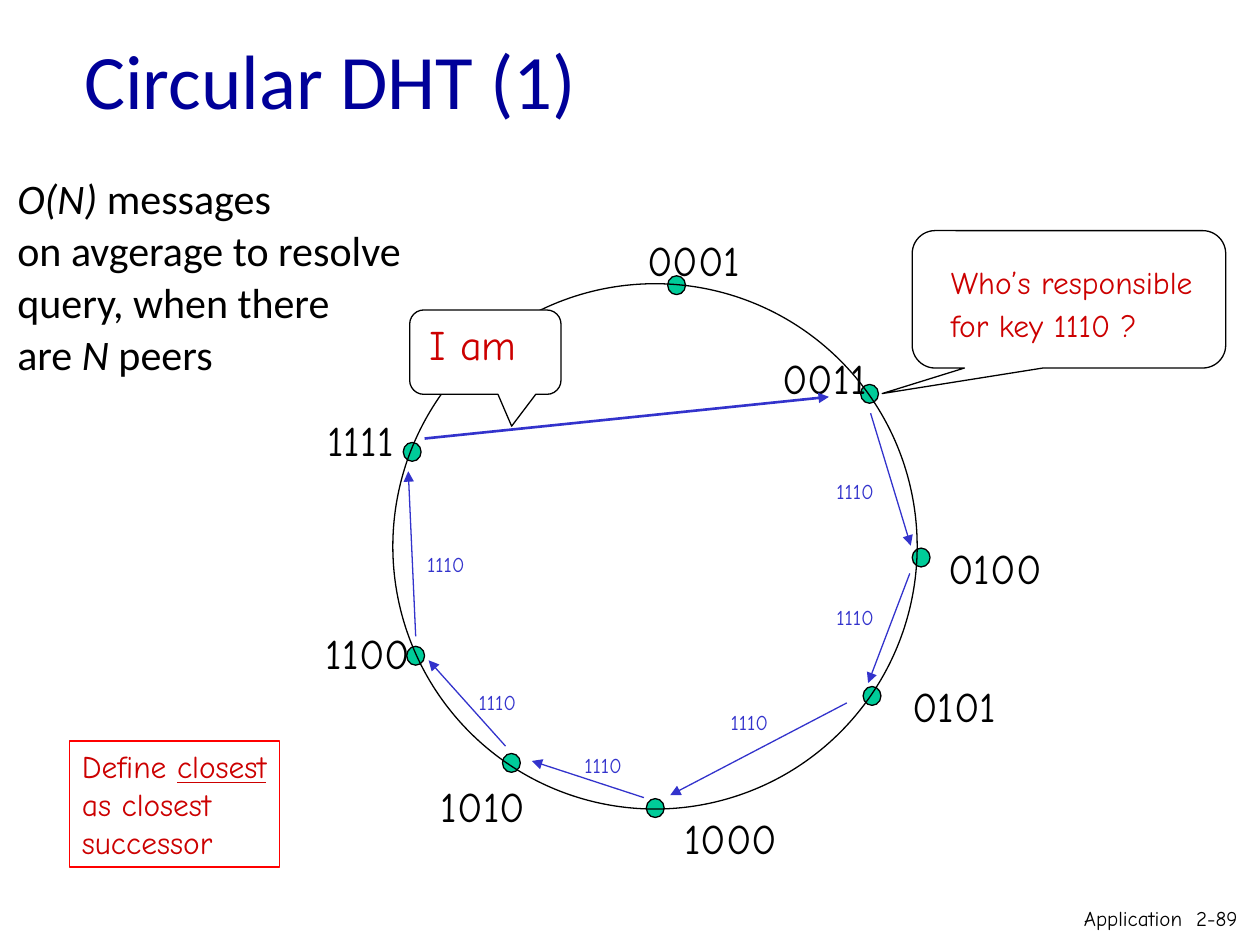
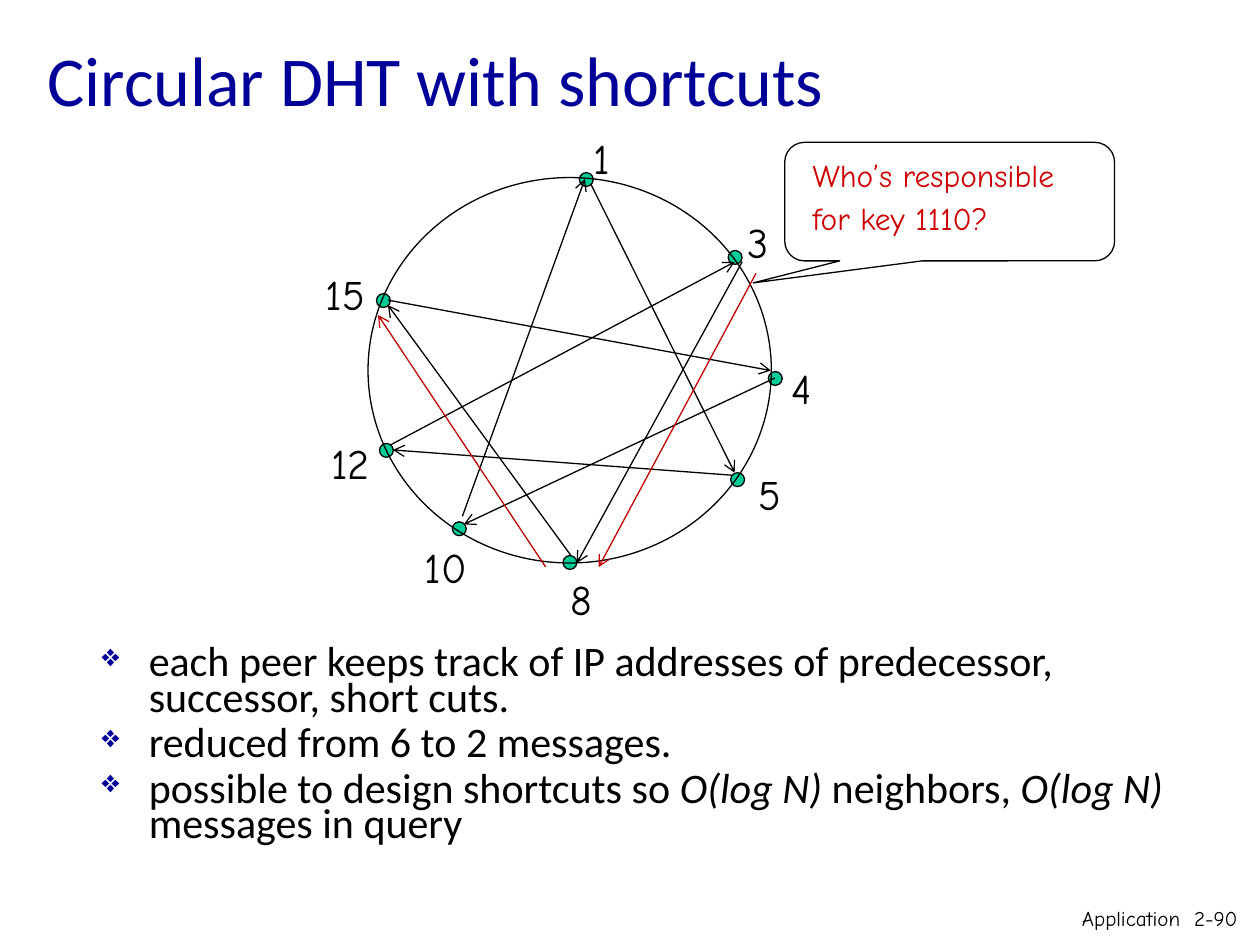
from lxml.etree import SubElement
from pptx import Presentation
from pptx.dml.color import RGBColor
from pptx.enum.shapes import MSO_CONNECTOR, MSO_SHAPE
from pptx.enum.text import MSO_ANCHOR, PP_ALIGN
from pptx.oxml.ns import qn
from pptx.util import Cm, Pt

COLORS = {
    "title": "000099",
    "text": "000000",
    "peer": "00CC99",
    "query": "3333CC",
    "speech": "CC0000",
    "border": "FF0000",
    "route": "C00000",
    "paper": "FFFFFF",
}
BODY_FONT, HAND_FONT = "Calibri", "Comic Neue"
FOOTER_BOX = (21.16, 18.14, 4.04, 0.79)
DIGIT_WIDTHS = {"0": 0.52, "1": 0.35}
OTHER_DIGIT_WIDTH = 0.46
SIDE_INSETS = 0.6

BASIC_TITLE = ("Circular DHT (1)", (1.45, 0, 21.59, 3.18), 44)
BASIC_RING = (7.92, 5.72, 10.57, 10.59)
BASIC_PEER_SIZE = (0.36, 0.38)
BASIC_PEERS = [
    ("0001", (13.46, 5.56), (12.8, 4.6)),
    ("0011", (17.35, 7.75), (15.52, 6.99)),
    ("0100", (18.39, 11.05), (18.87, 10.82)),
    ("0101", (17.4, 13.84), (18.14, 13.59)),
    ("1000", (13.03, 16.1), (13.54, 16.26)),
    ("1010", (10.13, 15.19), (8.64, 15.6)),
    ("1100", (8.2, 13.03), (6.32, 12.52)),
    ("1111", (8.13, 8.92), (6.35, 8.23)),
]
QUERY_KEY = "1110"
QUERY_HOPS = [
    ((17.55, 8.33), (18.36, 11), (16.61, 9.53)),
    ((18.34, 11.56), (17.5, 13.77), (16.61, 12.07)),
    ((17.07, 14.17), (13.51, 16.03), (14.48, 14.17)),
    ((12.98, 16.08), (10.72, 15.34), (11.53, 15.04)),
    ((10.19, 15.04), (8.64, 13.31), (9.4, 13.77)),
    ((8.38, 12.83), (8.23, 9.5), (8.36, 11)),
]
REPLY = ((8.56, 8.84), (16.71, 8))
COST = ["*O(N) *messages", "on avgerage to resolve", "query, when there", "are *N* peers"]
CLOSEST = ["Define *closest*", "as closest", "successor"]

SHORTCUT_TITLE = ("Circular DHT with shortcuts", (0.71, 0, 22.86, 3.18), 40)
SHORTCUT_RING = (7.42, 3.58, 8.13, 7.77)
SHORTCUT_PEER_SIZE = (0.28, 0.28)
SHORTCUT_PEERS = [
    ("1", (11.68, 3.48), (11.71, 2.54)),
    ("3", (14.68, 5.05), (14.81, 4.24)),
    ("4", (15.49, 7.49), (15.7, 7.19)),
    ("5", (14.73, 9.53), (15.04, 9.32)),
    ("8", (11.35, 11.2), (11.25, 11.43)),
    ("10", (9.12, 10.52), (8.31, 10.8)),
    ("12", (7.65, 8.94), (6.43, 8.69)),
    ("15", (7.59, 5.92), (6.32, 5.28)),
]
SHORTCUTS = [
    ((15.62, 7.62), (9.35, 10.57)),
    ((14.76, 9.58), (7.92, 9.07)),
    ((11.51, 11.2), (7.82, 6.15)),
    ((9.32, 10.41), (11.79, 3.61)),
    ((7.87, 8.97), (14.81, 5.28)),
    ((7.82, 6.05), (15.54, 7.47)),
    ((11.91, 3.71), (14.81, 9.53)),
    ((14.96, 5.28), (11.63, 11.35)),
]
ROUTE = [((15.24, 5.51), (12.07, 11.43)), ((11, 11.43), (7.62, 6.35))]
FACTS = [
    "each peer keeps track of IP addresses of predecessor, successor, short cuts.",
    "reduced from 6 to 2 messages.",
    "possible to design shortcuts so *O(log N) *neighbors, *O(log N) *messages in query",
]


def rgb(name):
    return RGBColor.from_string(COLORS[name])


def box(bounds):
    return [Cm(length) for length in bounds]


def add_outline(slide, kind, bounds, fill=None, line="text"):
    outline = slide.shapes.add_shape(kind, *box(bounds))
    outline.shadow.inherit = False
    if fill:
        outline.fill.solid()
        outline.fill.fore_color.rgb = rgb(fill)
    else:
        outline.fill.background()
    outline.line.color.rgb = rgb(line)
    outline.line.width = Pt(0.75)
    return outline


def add_bullet(paragraph):
    properties = paragraph._p.get_or_add_pPr()
    properties.set("marL", str(Cm(0.95)))
    properties.set("indent", str(-Cm(0.95)))
    color = SubElement(properties, qn("a:buClr"))
    SubElement(color, qn("a:srgbClr"), val=COLORS["title"])
    SubElement(properties, qn("a:buSzPct"), val="75000")
    SubElement(properties, qn("a:buChar"), char="❖")


def write(holder, lines, size, color="text", font=HAND_FONT, spacing=None, gap=0,
          emphasis="italic", bullets=False, wrap=True,
          align=PP_ALIGN.LEFT, anchor=MSO_ANCHOR.TOP):
    frame = holder.text_frame
    frame.word_wrap = wrap
    frame.vertical_anchor = anchor
    for index, line in enumerate(lines):
        paragraph = frame.add_paragraph() if index else frame.paragraphs[0]
        if bullets:
            add_bullet(paragraph)
        paragraph.alignment = align
        if spacing:
            paragraph.line_spacing = spacing
        if index and gap:
            paragraph.space_before = Pt(gap)
        for position, piece in enumerate(line.split("*")):
            if not piece:
                continue
            run = paragraph.add_run()
            run.text = piece
            run.font.name = font
            run.font.size = Pt(size)
            run.font.color.rgb = rgb(color)
            if position % 2:
                setattr(run.font, emphasis, True)


def add_text(slide, bounds, lines, size, **style):
    write(slide.shapes.add_textbox(*box(bounds)), lines, size, **style)


def add_arrow(slide, start, end, color, head, width=0.75):
    arrow = slide.shapes.add_connector(MSO_CONNECTOR.STRAIGHT, *box(start + end))
    arrow.line.color.rgb = rgb(color)
    arrow.line.width = Pt(width)
    SubElement(arrow.line._get_or_add_ln(), qn("a:tailEnd"), type=head)
    SubElement(arrow._element.spPr, qn("a:effectLst"))


def add_callout(slide, bounds, tip, text_bounds, lines, size, fill=None, **style):
    bubble = add_outline(slide, MSO_SHAPE.ROUNDED_RECTANGULAR_CALLOUT, bounds, fill)
    for index, value in enumerate(tip + (0.167,)):
        bubble.adjustments[index] = value
    add_text(slide, text_bounds, lines, size, color="speech", **style)


def add_question(slide, bounds, text_bounds, lines):
    add_callout(slide, bounds, (-0.596, 0.686), text_bounds, lines, 18,
                spacing=Pt(20), gap=4.5)


def add_ring(slide, ring, peers, peer_size):
    for _, corner, _ in peers:
        add_outline(slide, MSO_SHAPE.OVAL, corner + peer_size, "peer")
    add_outline(slide, MSO_SHAPE.OVAL, ring)
    for peer, _, corner in peers:
        width = SIDE_INSETS + sum(DIGIT_WIDTHS.get(d, OTHER_DIGIT_WIDTH) for d in peer)
        add_text(slide, corner + (width, 1.27), [peer], 24, wrap=False)


def add_slide(deck, title, page):
    slide = deck.slides.add_slide(deck.slide_layouts[6])
    heading, bounds, size = title
    add_text(slide, bounds, [heading], size, color="title", font=BODY_FONT,
             anchor=MSO_ANCHOR.MIDDLE)
    add_text(slide, FOOTER_BOX, [f"Application  2-{page}"], 12, align=PP_ALIGN.RIGHT)
    return slide


def build_basic(deck):
    slide = add_slide(deck, BASIC_TITLE, 89)
    add_ring(slide, BASIC_RING, BASIC_PEERS, BASIC_PEER_SIZE)
    add_question(slide, (18.39, 4.65, 6.32, 2.77), (18.92, 5.23, 5.6, 1.83),
                 ["Who’s responsible", "for key 1110 ?"])
    for start, end, corner in QUERY_HOPS:
        add_arrow(slide, start, end, "query", "triangle")
        add_text(slide, corner + (1.35, 0.76), [QUERY_KEY], 12, color="query", wrap=False)
    add_arrow(slide, *REPLY, "query", "triangle", 1.5)
    add_callout(slide, (8.26, 6.25, 3.05, 1.7), (0.174, 0.878),
                (8.41, 6.3, 3.61, 1.27), ["I am"], 24, fill="paper")
    add_text(slide, (0.1, 3.53, 9.6, 4.24), COST, 24, font=BODY_FONT,
             spacing=Pt(23.7), gap=6)
    definition = add_outline(slide, MSO_SHAPE.RECTANGLE, (1.4, 14.94, 4.24, 2.54),
                             line="border")
    write(definition, CLOSEST, 18, color="speech", emphasis="underline", wrap=False)


def build_shortcuts(deck):
    slide = add_slide(deck, SHORTCUT_TITLE, 90)
    add_text(slide, (1.8, 12.95, 22.86, 4.65), FACTS, 24, font=BODY_FONT,
             spacing=0.7, gap=6, bullets=True)
    add_ring(slide, SHORTCUT_RING, SHORTCUT_PEERS, SHORTCUT_PEER_SIZE)
    for color, arrows in (("text", SHORTCUTS), ("route", ROUTE)):
        for start, end in arrows:
            add_arrow(slide, start, end, color, "arrow")
    add_question(slide, (15.82, 2.87, 6.65, 2.39), (16.13, 3.07, 6.6, 1.83),
                 ["Who’s responsible", "for key 1110?"])


def main():
    deck = Presentation()
    deck.slide_width, deck.slide_height = Cm(25.4), Cm(19.05)
    build_basic(deck)
    build_shortcuts(deck)
    deck.save("out.pptx")


if __name__ == "__main__":
    main()
